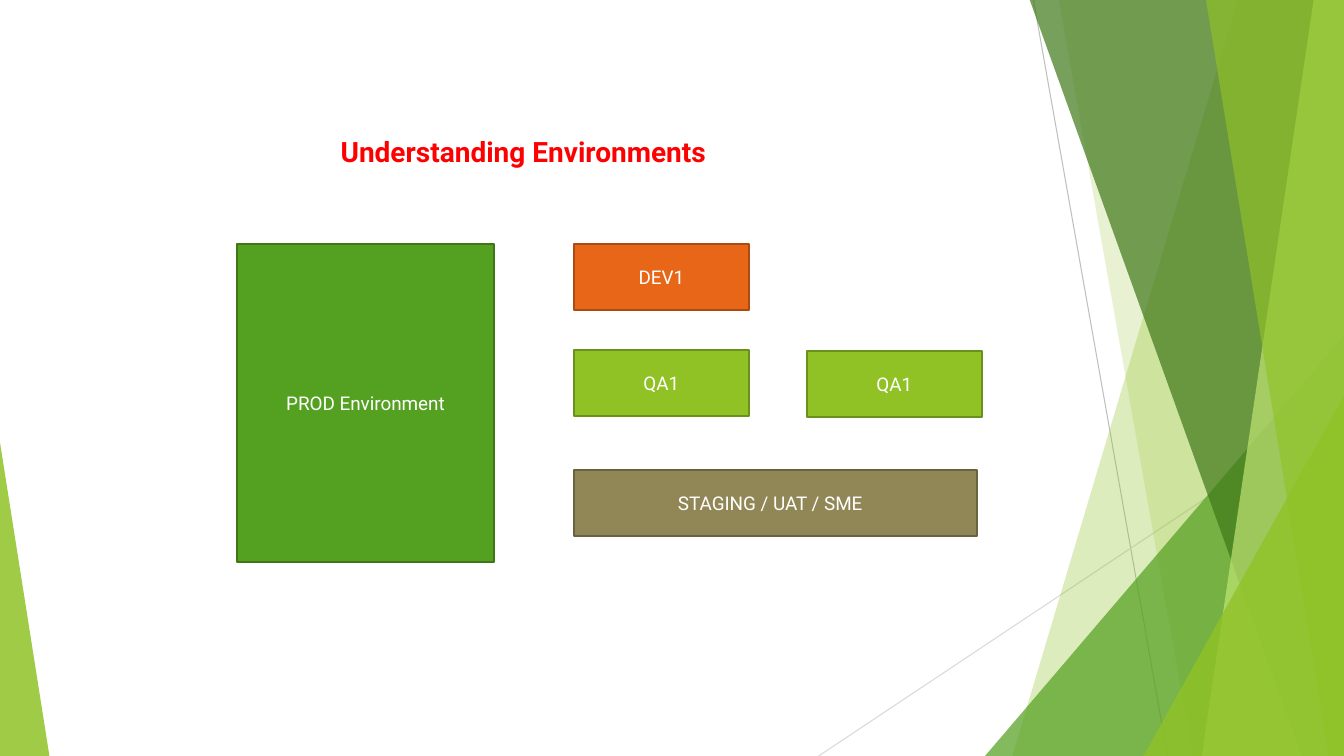
from lxml.etree import SubElement
from pptx import Presentation
from pptx.dml.color import RGBColor
from pptx.enum.shapes import MSO_CONNECTOR, MSO_SHAPE
from pptx.enum.text import MSO_ANCHOR, PP_ALIGN
from pptx.oxml.ns import qn
from pptx.util import Inches, Pt

WIDTH, HEIGHT, TOP = 13.33, 7.5, -0.01
FONT = "Roboto"
COLORS = {
    "white": "FFFFFF", "title": "FF0000",
    "lime": "90C226", "lime edge": "6B901C", "pale": "C0E474",
    "green": "54A021", "green edge": "3E7618", "forest": "3F7819",
    "orange": "E76618", "orange edge": "AB4B12",
    "olive": "918655", "olive edge": "6B633F",
    "gray": "BFBFBF", "light gray": "D9D9D9",
}
TITLE = "Understanding Environments"
COLUMN, BOX_WIDTH, BOX_HEIGHT = 5.69, 1.74, 0.66
ENVIRONMENTS = [
    ("PROD Environment", 2.35, 2.42, 2.55, 3.16, "green", 0.1),
    ("DEV1", COLUMN, 2.42, BOX_WIDTH, BOX_HEIGHT, "orange", 0.1),
    ("QA1", COLUMN, 3.47, BOX_WIDTH, BOX_HEIGHT, "lime", 0.1),
    ("QA1", 8, 3.48, BOX_WIDTH, BOX_HEIGHT, "lime", 0.1),
    ("STAGING / UAT / SME", COLUMN, 4.66, 4, BOX_HEIGHT, "olive", 0.2),
]
RAYS = [
    ((10.25, 0), (11.58, HEIGHT), "gray"),
    ((WIDTH, 4.03), (8.12, HEIGHT), "light gray"),
]
FACETS = [
    ("band", (12.28, 10.04), "lime", 30),
    ("band", (10.5, 11.83), "lime", 20),
    ("triangle", (9.77, 3.33, 3.56, 1), "green", 72),
    ("band", (10.21, 12.91), "forest", 70),
    ("band", (13.03, 11.92), "pale", 70),
    ("band", (11.96, 13.18), "lime", 65),
    ("triangle", (11.34, 3.93, 1.99, 1), "lime", 80),
    ("triangle", (0, 4.39, 0.49, 0), "lime", 85),
]


def color(name):
    return RGBColor.from_string(COLORS[name])


def add_ray(slide, start, end, name):
    ray = slide.shapes.add_connector(
        MSO_CONNECTOR.STRAIGHT, *map(Inches, start + end))
    ray.line.color.rgb = color(name)
    ray.line.width = Pt(0.75)
    SubElement(ray._element.spPr, qn("a:effectLst"))


def add_band(slide, top_left, bottom_left):
    corners = [(top_left, TOP), (WIDTH, TOP), (WIDTH, HEIGHT), (bottom_left, HEIGHT)]
    points = [(Inches(x), Inches(y)) for x, y in corners]
    builder = slide.shapes.build_freeform(*points[0])
    builder.add_line_segments(points[1:], close=True)
    return builder.convert_to_shape()


def add_triangle(slide, left, top, width, apex):
    shape = slide.shapes.add_shape(
        MSO_SHAPE.ISOSCELES_TRIANGLE, *map(Inches, (left, top, width, HEIGHT - top)))
    shape.adjustments[0] = apex
    return shape


def add_facet(slide, kind, geometry, name, opacity):
    add_outline = add_band if kind == "band" else add_triangle
    shape = add_outline(slide, *geometry)
    shape.shadow.inherit = False
    shape.fill.solid()
    shape.fill.fore_color.rgb = color(name)
    shape.line.fill.background()
    fill_color = shape._element.spPr.find(qn("a:solidFill"))[0]
    SubElement(fill_color, qn("a:alpha"), val=str(opacity * 1000))


def add_run(paragraph, text, size, name, bold=False):
    run = paragraph.add_run()
    run.text = text
    run.font.name = FONT
    run.font.size = Pt(size)
    run.font.bold = bold
    run.font.color.rgb = color(name)


def add_environment(slide, label, left, top, width, height, name, right_margin):
    shape = slide.shapes.add_shape(
        MSO_SHAPE.RECTANGLE, *map(Inches, (left, top, width, height)))
    shape.shadow.inherit = False
    shape.fill.solid()
    shape.fill.fore_color.rgb = color(name)
    shape.line.color.rgb = color(name + " edge")
    shape.line.width = Pt(1.5)
    frame = shape.text_frame
    frame.vertical_anchor = MSO_ANCHOR.MIDDLE
    frame.margin_right = Inches(right_margin)
    paragraph = frame.paragraphs[0]
    paragraph.alignment = PP_ALIGN.CENTER
    add_run(paragraph, label, 13.5, "white")


def main():
    presentation = Presentation()
    presentation.slide_width = Inches(WIDTH)
    presentation.slide_height = Inches(HEIGHT)
    slide = presentation.slides.add_slide(presentation.slide_layouts[6])
    for ray in RAYS:
        add_ray(slide, *ray)
    for facet in FACETS:
        add_facet(slide, *facet)
    title = slide.shapes.add_textbox(*map(Inches, (3.28, 1.29, 7.53, 0.5)))
    title.text_frame.word_wrap = True
    add_run(title.text_frame.paragraphs[0], TITLE, 20, "title", bold=True)
    for environment in ENVIRONMENTS:
        add_environment(slide, *environment)
    presentation.save("out.pptx")


if __name__ == "__main__":
    main()
